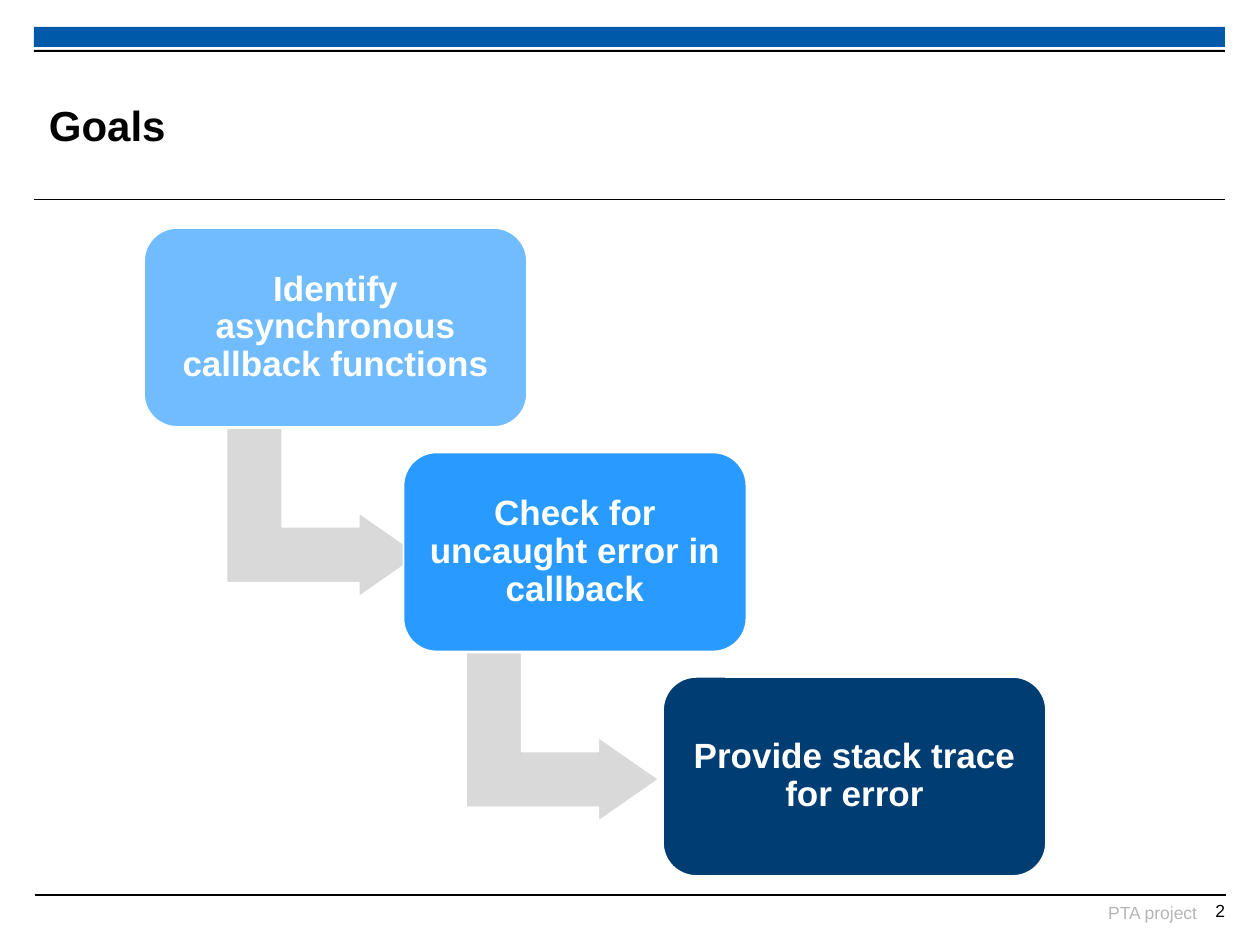
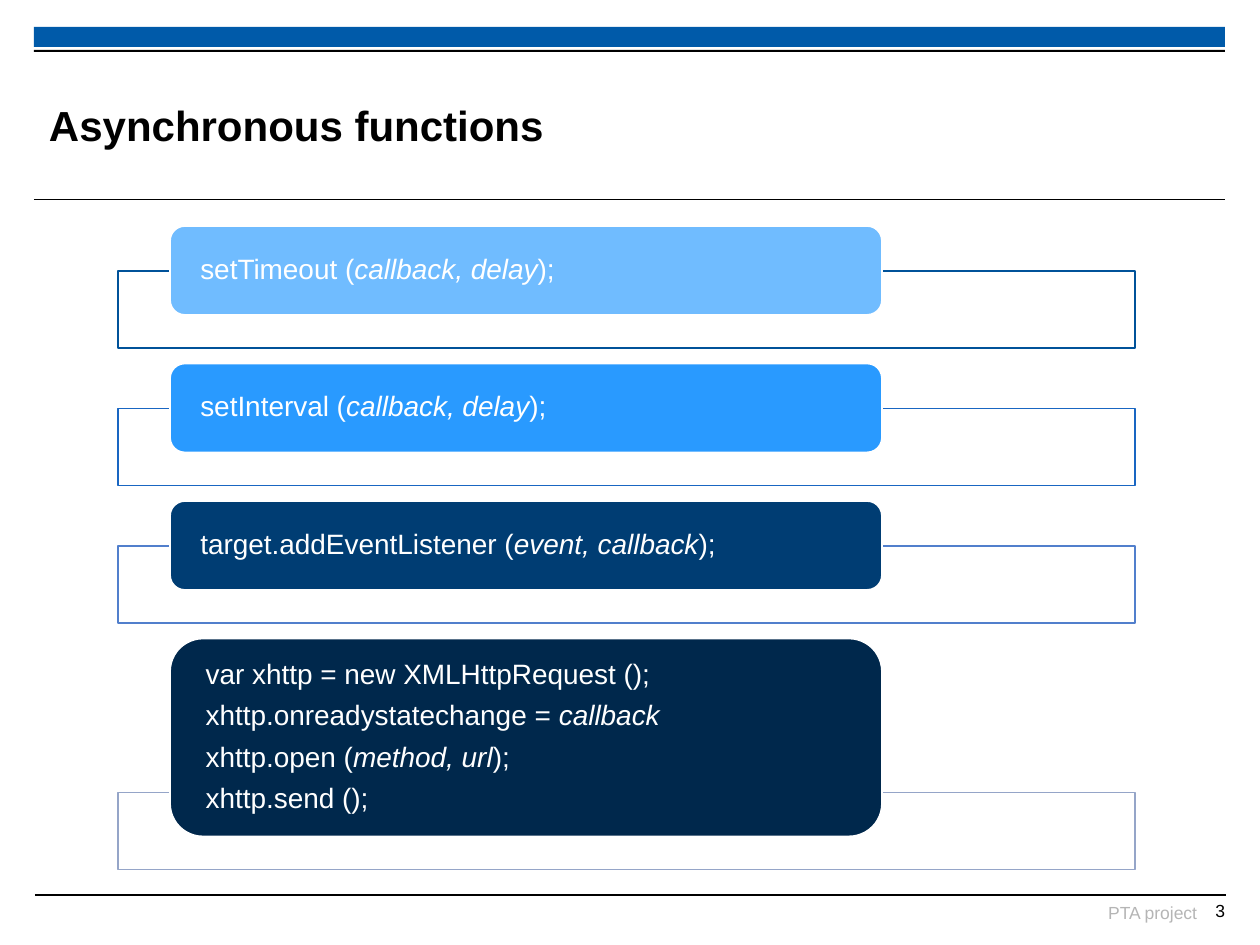
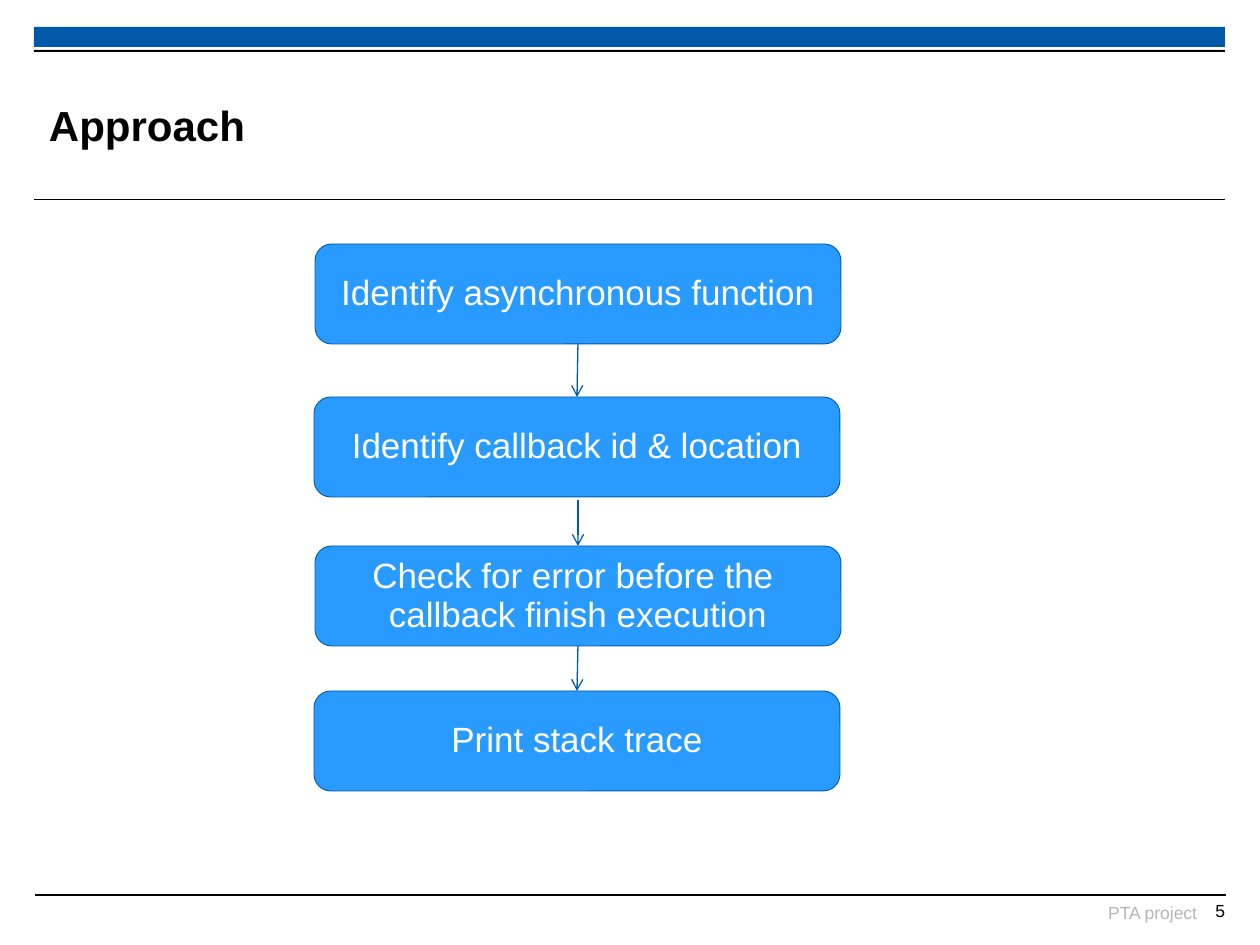
from dataclasses import dataclass
from lxml.etree import SubElement
from pptx import Presentation
from pptx.dml.color import RGBColor
from pptx.enum.shapes import MSO_CONNECTOR, MSO_SHAPE
from pptx.enum.text import MSO_ANCHOR, PP_ALIGN
from pptx.oxml.ns import qn
from pptx.util import Emu, Pt


@dataclass(frozen=True)
class Theme:
    font: str = "Arial"
    white: str = "FFFFFF"
    black: str = "000000"
    blue: str = "005AA9"
    gray: str = "D9D9D9"
    faint: str = "B5B5B5"
    sky: str = "70BCFF"
    azure: str = "299AFF"
    navy: str = "003D73"
    deep: str = "00284C"
    edges: tuple = ("005299", "1966C2", "517FCC", "95A5C8")
    title: int = 24
    body: int = 20
    code: int = 16
    foot: int = 10


THEME = Theme()
SCALE = 914400 / 126
ROUND = MSO_SHAPE.ROUNDED_RECTANGLE


def px(value):
    return Emu(round(value * SCALE))


def rgb(color):
    return RGBColor.from_string(color)


def shape(slide, kind, box, fill, line=None, width=1):
    item = slide.shapes.add_shape(kind, *map(px, box))
    item.shadow.inherit = False
    item.fill.solid()
    item.fill.fore_color.rgb = rgb(fill)
    if line:
        item.line.color.rgb = rgb(line)
        item.line.width = Pt(width)
    else:
        item.line.fill.background()
    return item


def stroke(slide, start, end, color, width, arrow=False):
    item = slide.shapes.add_connector(
        MSO_CONNECTOR.STRAIGHT, *map(px, start + end))
    item.line.color.rgb = rgb(color)
    item.line.width = Pt(width)
    if arrow:
        SubElement(item.line._get_or_add_ln(), qn("a:tailEnd"), type="arrow")
    SubElement(item._element.spPr, qn("a:effectLst"))


def write(item, paras, size, color, align=PP_ALIGN.LEFT, bold=False,
          inset=(0, 0), wrap=True, anchor=MSO_ANCHOR.MIDDLE,
          lead=None, after=None):
    frame = item.text_frame
    frame.word_wrap = wrap
    frame.vertical_anchor = anchor
    frame.margin_left = frame.margin_right = px(inset[0])
    frame.margin_top = frame.margin_bottom = px(inset[1])
    for row, runs in enumerate(paras):
        para = frame.add_paragraph() if row else frame.paragraphs[0]
        para.alignment = align
        if lead:
            para.line_spacing = lead
        if after:
            para.space_after = Pt(after)
        for col, text in enumerate(runs):
            run = para.add_run()
            run.text = text
            run.font.name = THEME.font
            run.font.size = Pt(size)
            run.font.bold = bold
            run.font.italic = col % 2 == 1
            run.font.color.rgb = rgb(color)


def label(slide, box, text, size, color, **style):
    item = slide.shapes.add_textbox(*map(px, box))
    write(item, [[text]], size, color, **style)


def page(deck, title, number):
    slide = deck.slides.add_slide(deck.slide_layouts[6])
    left, right = 34, 1225
    span = right - left
    stroke(slide, (left + 1, 895), (right + 1, 895), THEME.black, 0.6)
    shape(slide, MSO_SHAPE.RECTANGLE, (left, 27, span, 20), THEME.blue)
    stroke(slide, (left, 200), (right, 200), THEME.black, 0.6)
    shape(slide, MSO_SHAPE.RECTANGLE, (left, 50, span, 2), THEME.black)
    foot = dict(align=PP_ALIGN.RIGHT, anchor=MSO_ANCHOR.TOP)
    label(slide, (869, 902, 328, 32), "PTA project",
          THEME.foot, THEME.faint, **foot)
    label(slide, (1171, 900, 54, 30), str(number),
          THEME.foot, THEME.black, **foot)
    label(slide, (49, 67, 948, 116), title,
          THEME.title, THEME.black, bold=True)
    return slide


def stairs(slide, box, steps):
    left, top, width, height = box
    tall = 199
    rise = (height - tall) / (len(steps) - 1)
    pitch = (width - steps[-1][1]) / (len(steps) - 1)
    for index, (text, wide, fill) in enumerate(steps):
        x, y = left + index * pitch, top + index * rise
        if index < len(steps) - 1:
            bend = shape(slide, MSO_SHAPE.BENT_UP_ARROW,
                         (x + wide / 2 - 97, y + 188, 169, 193),
                         THEME.gray, THEME.white)
            bend.rotation = 90
            for slot, value in enumerate((0.33, 0.25, 0.36)):
                bend.adjustments[slot] = value
        card = shape(slide, ROUND, (x, y, wide, tall), fill, THEME.white)
        write(card, [[text]], THEME.body, THEME.white, PP_ALIGN.CENTER,
              bold=True, inset=(10, 10), lead=0.9, after=8)


def calls(slide, box, rows):
    left, top, width = box
    for index, (paras, tall, fill) in enumerate(rows):
        y = top + index * 137.5
        frame = shape(slide, MSO_SHAPE.RECTANGLE,
                      (left, y + tall - 44, width, 77),
                      THEME.white, THEME.edges[index])
        tint = frame._element.spPr.find(qn("a:solidFill"))[0]
        SubElement(tint, qn("a:alpha"), val="90000")
        chip = shape(slide, ROUND, (left + 52, y, 712, tall),
                     fill, THEME.white)
        write(chip, paras, THEME.code, THEME.white,
              inset=(26, 0), lead=0.9, after=6.4)


def flow(slide, box, steps):
    left, top, width, tall = box
    mid = left + width / 2
    for index, (paras, drop, gap) in enumerate(steps):
        x, y = left - index % 2, top + drop
        if index:
            last = top + steps[index - 1][1] + tall
            stroke(slide, (mid, last + gap), (x + width / 2, y),
                   THEME.blue, 0.75, arrow=True)
        card = shape(slide, ROUND, (x, y, width, tall),
                     THEME.azure, THEME.blue, 0.5)
        write(card, paras, THEME.body, THEME.white, PP_ALIGN.CENTER,
              inset=(13, 6), wrap=False, lead=0.93)


deck = Presentation()
deck.slide_width, deck.slide_height = px(1260), px(945)

stairs(page(deck, "Goals", 2), (144, 228, 902, 648), [
    ("Identify asynchronous callback functions", 383, THEME.sky),
    ("Check for uncaught error in callback", 343, THEME.azure),
    ("Provide stack trace for error", 383, THEME.navy),
])

calls(page(deck, "Asynchronous functions", 3), (118, 226, 1017), [
    ([["setTimeout (", "callback, delay", ");"]], 89, THEME.sky),
    ([["setInterval (", "callback, delay", ");"]], 89, THEME.azure),
    ([["target.addEventListener (", "event, callback", ");"]],
     89, THEME.navy),
    ([["var xhttp = new XMLHttpRequest ();"],
      ["xhttp.onreadystatechange = ", "callback"],
      ["xhttp.open (", "method, url", ");"],
      ["xhttp.send ();"]], 198, THEME.deep),
])

flow(page(deck, "Approach", 5), (315, 244, 526, 100), [
    ([["Identify asynchronous function"]], 0, 0),
    ([["Identify callback id & location"]], 153, 0),
    ([["Check for error before the "],
      ["callback finish execution"]], 302, 3),
    ([["Print stack trace"]], 447, 0),
])

deck.save("out.pptx")
